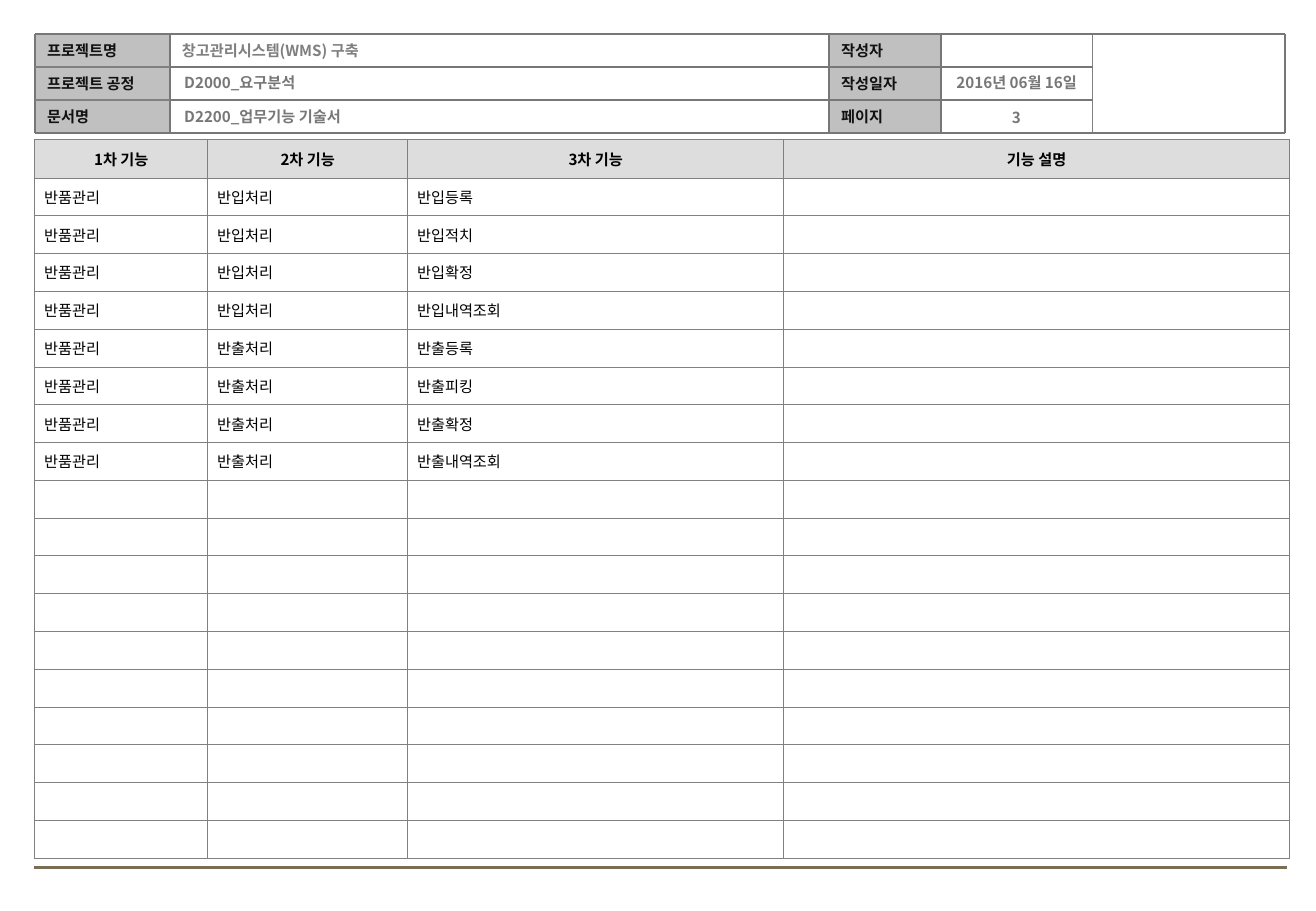
from lxml import etree
from pptx import Presentation
from pptx.dml.color import RGBColor
from pptx.enum.shapes import MSO_CONNECTOR, MSO_SHAPE
from pptx.enum.text import MSO_ANCHOR, MSO_AUTO_SIZE, PP_ALIGN
from pptx.oxml.ns import qn
from pptx.util import Pt

RECT, STRAIGHT = MSO_SHAPE.RECTANGLE, MSO_CONNECTOR.STRAIGHT
LEFT, CENTER = PP_ALIGN.LEFT, PP_ALIGN.CENTER
TOP, MIDDLE = MSO_ANCHOR.TOP, MSO_ANCHOR.MIDDLE
FIT = MSO_AUTO_SIZE.SHAPE_TO_FIT_TEXT

GRAY, MIDGRAY, LABEL_FILL = "777777", "808080", "C0C0C0"


def rgb(color):
    return RGBColor.from_string(color)


class Deck:
    font, size = "Noto Sans CJK KR", 9

    def __init__(self, prs):
        self.s = prs.slides.add_slide(prs.slide_layouts[6])

    def add_text(self, tf, text, color, bold=True, align=LEFT):
        p = tf.paragraphs[0]
        p.alignment = align
        r = p.add_run()
        r.text = text
        r.font.name, r.font.size, r.font.bold = self.font, Pt(self.size), bold
        r.font.color.rgb = rgb(color)
        etree.SubElement(r.font._element, qn("a:ea"), typeface=self.font)

    def label(self, x, y, w, h, text):
        sp = self.s.shapes.add_shape(RECT, Pt(x), Pt(y), Pt(w), Pt(h))
        sp.shadow.inherit = False
        sp.fill.solid()
        sp.fill.fore_color.rgb = rgb(LABEL_FILL)
        sp.line.fill.background()
        sp.text_frame.vertical_anchor = MIDDLE
        self.add_text(sp.text_frame, text, "111111")

    def text(self, x, y, w, h, text, color=GRAY, align=LEFT, anchor=TOP):
        sp = self.s.shapes.add_textbox(Pt(x), Pt(y), Pt(w), Pt(h))
        tf = sp.text_frame
        tf.word_wrap = True
        tf.vertical_anchor = anchor
        if anchor == TOP:
            tf.auto_size = FIT
        self.add_text(tf, text, color, align=align)

    def line(self, x1, y1, x2, y2, color=GRAY, width=1):
        c = self.s.shapes.add_connector(STRAIGHT, Pt(x1), Pt(y1), Pt(x2), Pt(y2))
        c.line.color.rgb = rgb(color)
        c.line.width = Pt(width)
        etree.SubElement(c._element.spPr, qn("a:effectLst"))

    def borders(self, cell, color, width):
        tcPr = cell._tc.get_or_add_tcPr()
        for i, side in enumerate("LRTB"):
            ln = etree.Element(qn(f"a:ln{side}"), w=str(Pt(width)))
            fill = etree.SubElement(ln, qn("a:solidFill"))
            etree.SubElement(fill, qn("a:srgbClr"), val=color)
            tcPr.insert(i, ln)

    def table(self, x, y, widths, heights, rows):
        """Draw a bordered grid; rows[0] is the header, None leaves a cell empty."""
        t = self.s.shapes.add_table(len(heights), len(widths), Pt(x), Pt(y),
                                    Pt(sum(widths)), Pt(sum(heights))).table
        t.first_row = t.horz_banding = False
        for col, w in zip(t.columns, widths):
            col.width = Pt(w)
        for i, h in enumerate(heights):
            t.rows[i].height = Pt(h)
            for j in range(len(widths)):
                cell = t.cell(i, j)
                cell.vertical_anchor = MIDDLE
                cell.margin_left = cell.margin_right = Pt(5.6)
                if i == 0:
                    cell.fill.solid()
                    cell.fill.fore_color.rgb = rgb("DDDDDD")
                else:
                    cell.fill.background()
                self.borders(cell, MIDGRAY, 0.45)
                text = rows[i][j] if i < len(rows) else None
                if text:
                    self.add_text(cell.text_frame, text, "000000", i == 0,
                                  LEFT if i else CENTER)
                else:
                    end = cell.text_frame.paragraphs[0]._p.get_or_add_endParaRPr()
                    end.set("sz", str(self.size * 100))


def main():
    prs = Presentation()
    prs.slide_width, prs.slide_height = Pt(780.48), Pt(540)
    d = Deck(prs)

    d.line(20.2, 514.1, 763.2, 514.1, "7A6F54", 1.75)

    # Document header: three rows of label and value
    left, value_x, label_x, info_x, stamp_x, right = 20.9, 100.8, 491.8, 558, 648, 762
    top, row_h = 20.3, 19.5
    ys = [top + i * row_h for i in range(4)]
    labels = [("프로젝트명", "작성자"), ("프로젝트 공정", "작성일자"), ("문서명", "페이지")]
    for y, (name, info) in zip(ys, labels):
        d.label(left, y, value_x - left, row_h, name)
        d.label(label_x, y, info_x - label_x, row_h, info)
    d.text(value_x, top, label_x - value_x, row_h, "창고관리시스템(WMS) 구축",
           "7F7F7F", anchor=MIDDLE)

    for x in (value_x, label_x, info_x, left, right):
        d.line(x, ys[0], x, ys[3])
    d.line(stamp_x, ys[0], stamp_x, ys[3], MIDGRAY)
    for y in ys[1:3]:
        d.line(left, y, value_x, y, MIDGRAY)
        d.line(value_x, y, stamp_x, y)
    for y in (ys[0], ys[3]):
        d.line(left, y, right, y)

    d.text(560.2, 60.4, 85, 19.4, "3", align=CENTER)
    d.text(102.2, 40, 345.6, 18, "D2000_요구분석")
    d.text(102.2, 60.2, 345.6, 18, "D2200_업무기능 기술서")
    d.text(546.5, 40, 113, 18, "2016년 06월 16일", align=CENTER)

    # Function list
    steps = {"반입": ("등록", "적치", "확정", "내역조회"),
             "반출": ("등록", "피킹", "확정", "내역조회")}
    rows = [("1차 기능", "2차 기능", "3차 기능", "기능 설명")]
    rows += [("반품관리", f"{flow}처리", flow + step, None)
             for flow, names in steps.items() for step in names]
    d.table(20.6, 82.5, [102.6, 118.6, 223, 300], [23] + [22.4] * 18, rows)

    prs.save("out.pptx")


if __name__ == "__main__":
    main()
